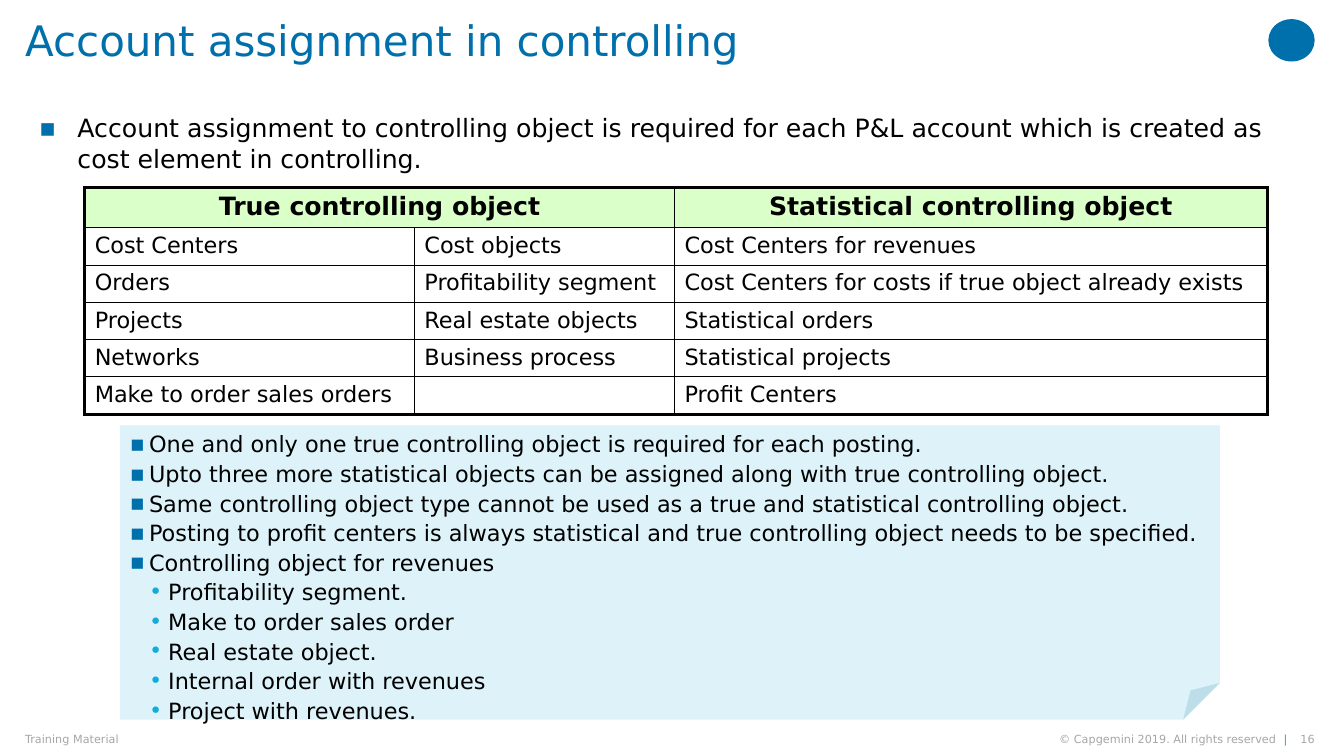
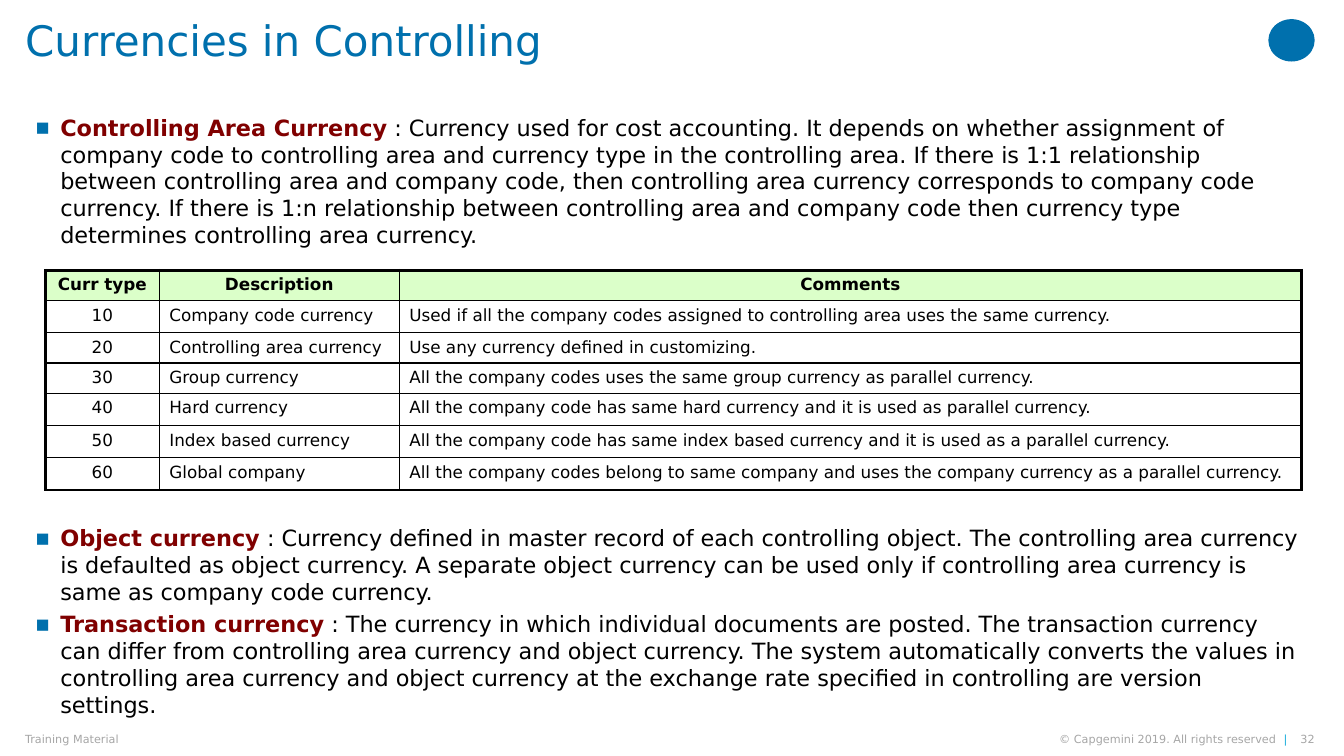
from dataclasses import dataclass

from lxml import etree
from pptx import Presentation
from pptx.dml.color import RGBColor
from pptx.enum.shapes import MSO_SHAPE
from pptx.enum.text import MSO_ANCHOR, PP_ALIGN
from pptx.oxml.ns import qn
from pptx.util import Inches, Pt

LEFT, CENTER, RIGHT = PP_ALIGN.LEFT, PP_ALIGN.CENTER, PP_ALIGN.RIGHT
TOP, MIDDLE = MSO_ANCHOR.TOP, MSO_ANCHOR.MIDDLE
OVAL, FOLDED_CORNER = MSO_SHAPE.OVAL, MSO_SHAPE.FOLDED_CORNER


@dataclass(frozen=True)
class Theme:
    font: str = "DejaVu Sans"
    blue: RGBColor = RGBColor.from_string("0070AD")
    cyan: RGBColor = RGBColor.from_string("12ABDB")
    note: RGBColor = RGBColor.from_string("88D5ED")
    header: RGBColor = RGBColor.from_string("DBFFC9")
    term: RGBColor = RGBColor.from_string("800000")
    black: RGBColor = RGBColor.from_string("000000")
    grey: RGBColor = RGBColor.from_string("A6A6A6")
    title_size: int = 30
    lead_size: int = 18
    body_size: int = 16
    small_size: int = 12
    footer_size: int = 8
    note_alpha: int = 28
    outer_line: float = 2.25
    inner_line: float = 1


theme = Theme()


def write(frame, paragraphs, size, align=LEFT, indent=0, space=0, line_spacing=None):
    frame.word_wrap = True
    for index, (level, runs) in enumerate(paragraphs):
        paragraph = frame.paragraphs[0] if index == 0 else frame.add_paragraph()
        paragraph.alignment = align
        paragraph.level = level
        if line_spacing:
            paragraph.line_spacing = line_spacing
        if indent:
            properties = paragraph._p.get_or_add_pPr()
            properties.set("marL", str(Inches(indent * (level + 1))))
            properties.set("indent", str(-Inches(indent)))
            bullet_color = etree.SubElement(properties, qn("a:buClr"))
            bullet_value = theme.cyan if level else theme.blue
            etree.SubElement(bullet_color, qn("a:srgbClr"), val=str(bullet_value))
            etree.SubElement(properties, qn("a:buFont"), typeface=theme.font)
            etree.SubElement(properties, qn("a:buChar"), char="•" if level else "▪")
        if space:
            paragraph.space_after = Pt(space)
            if index:
                paragraph.space_before = Pt(space)
        for text, color, bold in runs:
            run = paragraph.add_run()
            run.text = text
            run.font.name = theme.font
            run.font.size = Pt(size)
            run.font.bold = bold
            run.font.color.rgb = color


def draw_borders(cell, edges):
    properties = cell._tc.get_or_add_tcPr()
    for tag, outer in edges:
        width = theme.outer_line if outer else theme.inner_line
        line = etree.SubElement(properties, qn(tag), w=str(Pt(width)))
        fill = etree.SubElement(line, qn("a:solidFill"))
        etree.SubElement(fill, qn("a:srgbClr"), val=str(theme.black))


topics = [
    {
        "title": "Account assignment in controlling",
        "number": "16",
        "texts": [
            {
                "box": (0.29, 1.07, 12.74, 0.7),
                "size": theme.lead_size,
                "indent": 0.38,
                "space": 0,
                "entries": [
                    ("", "Account assignment to controlling object is required for each P&L account "
                         "which is created as cost element in controlling."),
                ],
            },
        ],
        "table": {
            "at": (0.84, 1.86),
            "columns": [3.27, 2.58, 5.88],
            "heights": [0.4] + [0.37] * 5,
            "header_size": theme.lead_size,
            "size": theme.body_size,
            "centered": [],
            "merge": 1,
            "rows": [
                ("True controlling object", "", "Statistical controlling object"),
                ("Cost Centers", "Cost objects", "Cost Centers for revenues"),
                ("Orders", "Profitability segment",
                 "Cost Centers for costs if true object already exists"),
                ("Projects", "Real estate objects", "Statistical orders"),
                ("Networks", "Business process", "Statistical projects"),
                ("Make to order sales orders", "", "Profit Centers"),
            ],
        },
        "note": [
            (0, "One and only one true controlling object is required for each posting."),
            (0, "Upto three more statistical objects can be assigned along with true controlling object."),
            (0, "Same controlling object type cannot be used as a true and statistical controlling object."),
            (0, "Posting to profit centers is always statistical and true controlling object "
                "needs to be specified."),
            (0, "Controlling object for revenues"),
            (1, "Profitability segment."),
            (1, "Make to order sales order"),
            (1, "Real estate object."),
            (1, "Internal order with revenues"),
            (1, "Project with revenues."),
        ],
    },
    {
        "title": "Currencies in Controlling",
        "number": "32",
        "texts": [
            {
                "box": (0.25, 1.08, 12.78, 1.41),
                "size": theme.body_size,
                "indent": 0.25,
                "space": 2,
                "entries": [
                    ("Controlling Area Currency",
                     " : Currency used for cost accounting. It depends on whether assignment of "
                     "company code to controlling area and currency type in the controlling area. "
                     "If there is 1:1 relationship between controlling area and company code, then "
                     "controlling area currency corresponds to company code currency. If there is "
                     "1:n relationship between controlling area and company code then currency type "
                     "determines controlling area currency."),
                ],
            },
            {
                "box": (0.25, 5.15, 12.78, 2.04),
                "size": theme.body_size,
                "indent": 0.25,
                "space": 2,
                "entries": [
                    ("Object currency",
                     " : Currency defined in master record of each controlling object. The "
                     "controlling area currency is defaulted as object currency. A separate object "
                     "currency can be used only if controlling area currency is same as company "
                     "code currency."),
                    ("Transaction currency",
                     " : The currency in which individual documents are posted. The transaction "
                     "currency can differ from controlling area currency and object currency. The "
                     "system automatically converts the values in controlling area currency and "
                     "object currency at the exchange rate specified in controlling are version "
                     "settings."),
                ],
            },
        ],
        "table": {
            "at": (0.45, 2.68),
            "columns": [1.13, 2.38, 8.95],
            "heights": [0.3, 0.32, 0.3, 0.3, 0.32, 0.32, 0.32],
            "header_size": theme.small_size,
            "size": theme.small_size,
            "centered": [0],
            "merge": 0,
            "rows": [
                ("Curr type", "Description", "Comments"),
                ("10", "Company code currency",
                 "Used if all the company codes assigned to controlling area uses the same currency."),
                ("20", "Controlling area currency", "Use any currency defined in customizing."),
                ("30", "Group currency",
                 "All the company codes uses the same group currency as parallel currency."),
                ("40", "Hard currency",
                 "All the company code has same hard currency and it is used as parallel currency."),
                ("50", "Index based currency",
                 "All the company code has same index based currency and it is used as a parallel currency."),
                ("60", "Global company",
                 "All the company codes belong to same company and uses the company currency "
                 "as a parallel currency."),
            ],
        },
        "note": [],
    },
]

presentation = Presentation()
presentation.slide_width = Inches(13.33)
presentation.slide_height = Inches(7.5)

for topic in topics:
    slide = presentation.slides.add_slide(presentation.slide_layouts[6])

    emblem = slide.shapes.add_shape(OVAL, Inches(12.58), Inches(0.19), Inches(0.46), Inches(0.42))
    emblem.shadow.inherit = False
    emblem.fill.solid()
    emblem.fill.fore_color.rgb = theme.blue
    emblem.line.fill.background()

    copyright_runs = [
        ("© Capgemini 2019. All rights reserved  ", theme.grey, False),
        ("|", theme.cyan, False),
    ]
    frame_parts = [
        ((0.25, 0, 12.17, 0.79), 0.2, TOP, LEFT, theme.title_size, 0.9,
         [(topic["title"], theme.blue, False)]),
        ((0.25, 7.27, 5.16, 0.13), 0, MIDDLE, LEFT, theme.footer_size, None,
         [("Training Material", theme.grey, False)]),
        ((9.86, 7.27, 2.91, 0.13), 0, MIDDLE, RIGHT, theme.footer_size, None, copyright_runs),
        ((12.85, 7.27, 0.19, 0.13), 0, MIDDLE, RIGHT, theme.footer_size, None,
         [(topic["number"], theme.grey, False)]),
    ]
    for box, top_inset, anchor, align, size, line_spacing, runs in frame_parts:
        frame = slide.shapes.add_textbox(*map(Inches, box)).text_frame
        frame.margin_left = frame.margin_right = frame.margin_bottom = 0
        frame.margin_top = Inches(top_inset)
        frame.vertical_anchor = anchor
        write(frame, [(0, runs)], size, align, line_spacing=line_spacing)

    for passage in topic["texts"]:
        paragraphs = []
        for term, explanation in passage["entries"]:
            runs = [(term, theme.term, True)] if term else []
            paragraphs.append((0, runs + [(explanation, theme.black, False)]))
        frame = slide.shapes.add_textbox(*map(Inches, passage["box"])).text_frame
        write(frame, paragraphs, passage["size"], indent=passage["indent"], space=passage["space"])

    grid = topic["table"]
    rows, columns, heights = grid["rows"], grid["columns"], grid["heights"]
    left, top = grid["at"]
    table = slide.shapes.add_table(
        len(rows), len(columns), Inches(left), Inches(top),
        Inches(sum(columns)), Inches(sum(heights))).table
    table.first_row = table.horz_banding = False
    for column, width in zip(table.columns, columns):
        column.width = Inches(width)
    for row, height in zip(table.rows, heights):
        row.height = Inches(height)
    if grid["merge"]:
        table.cell(0, 0).merge(table.cell(0, grid["merge"]))
    for r, values in enumerate(rows):
        for c, value in enumerate(values):
            cell = table.cell(r, c)
            draw_borders(cell, [
                ("a:lnL", c == 0), ("a:lnR", c == len(columns) - 1),
                ("a:lnT", r == 0), ("a:lnB", r == len(rows) - 1),
            ])
            is_header = r == 0
            size = grid["header_size"] if is_header else grid["size"]
            if is_header:
                cell.fill.solid()
                cell.fill.fore_color.rgb = theme.header
            else:
                cell.fill.background()
            if value:
                align = CENTER if is_header or c in grid["centered"] else LEFT
                write(cell.text_frame, [(0, [(value, theme.black, is_header)])], size, align)
            else:
                empty_line = cell.text_frame.paragraphs[0]._p
                etree.SubElement(empty_line, qn("a:endParaRPr"), sz=str(size * 100))

    if topic["note"]:
        note = slide.shapes.add_shape(
            FOLDED_CORNER, Inches(1.19), Inches(4.22), Inches(10.91), Inches(2.92))
        note.shadow.inherit = False
        fold = note._element.spPr.find(qn("a:prstGeom")).find(qn("a:avLst"))
        etree.SubElement(fold, qn("a:gd"), name="adj", fmla="val 12500")
        note.fill.solid()
        note.fill.fore_color.rgb = theme.note
        note_color = note._element.spPr.find(qn("a:solidFill")).find(qn("a:srgbClr"))
        etree.SubElement(note_color, qn("a:alpha"), val=str(theme.note_alpha * 1000))
        note.line.fill.background()
        note.text_frame.vertical_anchor = TOP
        paragraphs = [(level, [(text, theme.black, False)]) for level, text in topic["note"]]
        write(note.text_frame, paragraphs, theme.body_size, indent=0.19, space=1)

presentation.save("out.pptx")
